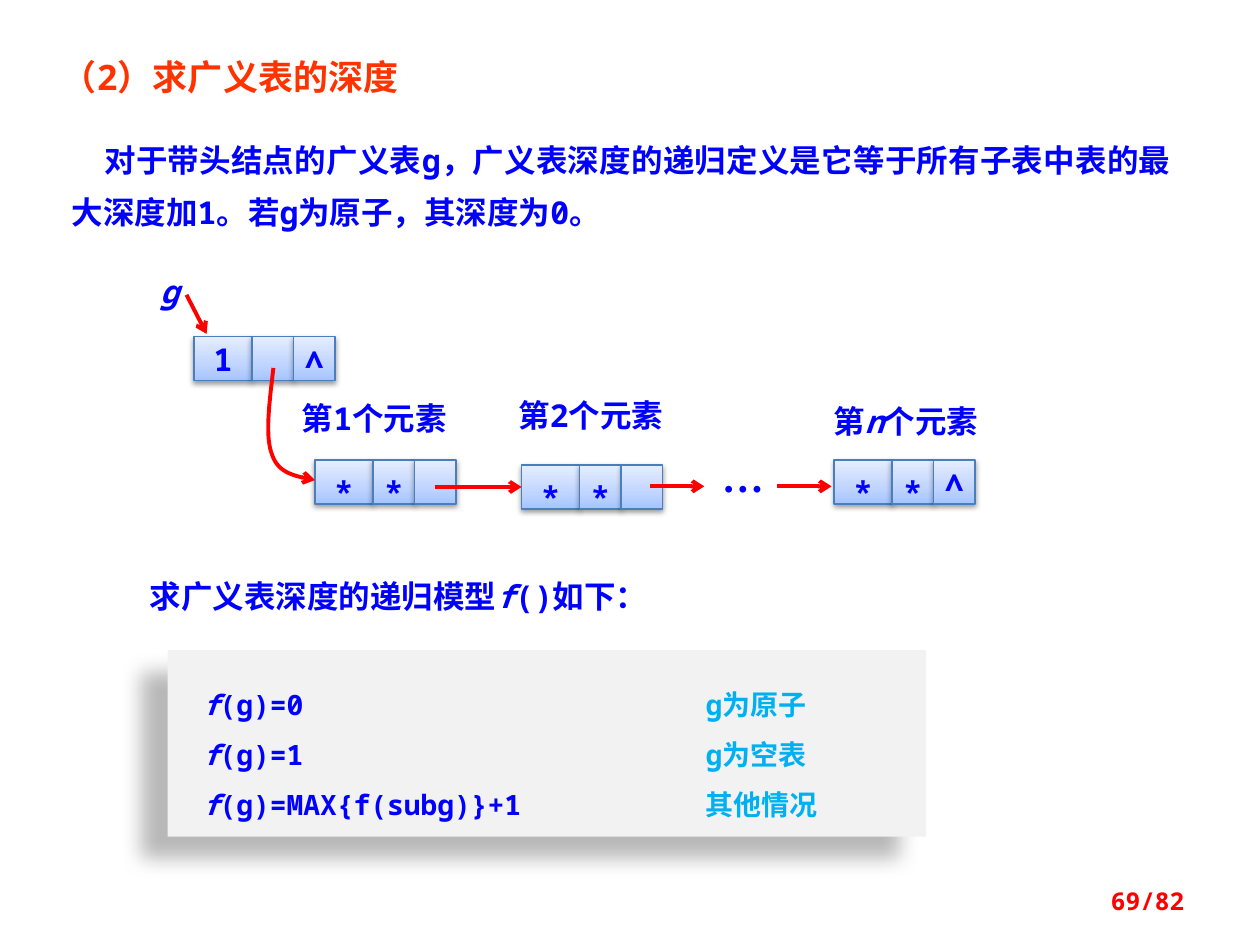
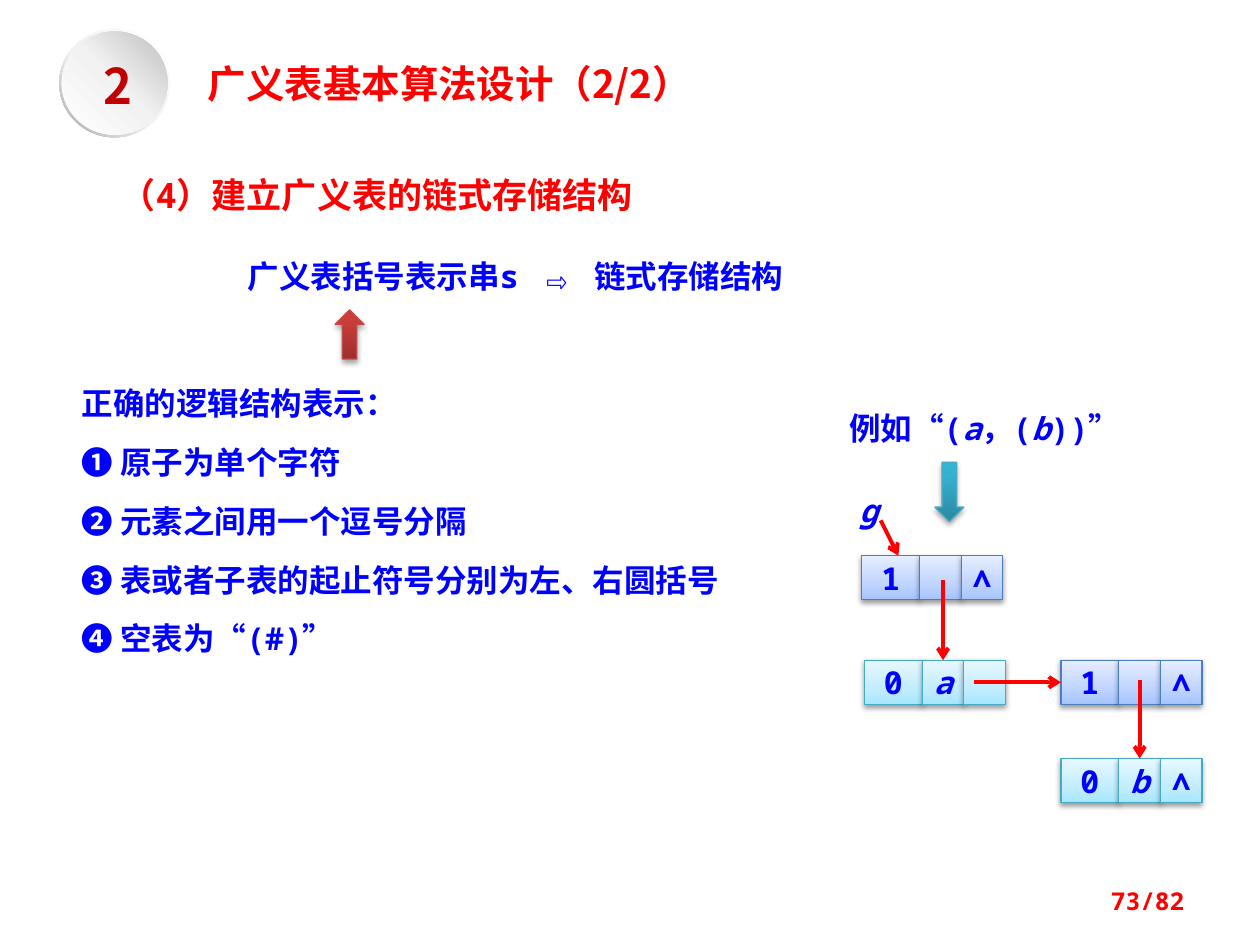
from lxml import etree
from pptx import Presentation
from pptx.dml.color import RGBColor
from pptx.enum.shapes import MSO_CONNECTOR, MSO_SHAPE
from pptx.enum.text import MSO_ANCHOR, MSO_AUTO_SIZE, PP_ALIGN
from pptx.oxml.ns import qn
from pptx.util import Pt

PX = 9144
TITLE_ONLY = 5
TOP, LEFT_SIDE = 0, 1
STRAIGHT = MSO_CONNECTOR.STRAIGHT
RECT, OVAL, DONUT = MSO_SHAPE.RECTANGLE, MSO_SHAPE.OVAL, MSO_SHAPE.DONUT
UP_ARROW, DOWN_ARROW = MSO_SHAPE.UP_ARROW, MSO_SHAPE.DOWN_ARROW
ANCHOR_TOP, ANCHOR_MIDDLE = MSO_ANCHOR.TOP, MSO_ANCHOR.MIDDLE
NO_AUTOFIT = MSO_AUTO_SIZE.NONE
ALIGN_LEFT, ALIGN_CENTER = PP_ALIGN.LEFT, PP_ALIGN.CENTER
ALIGN_RIGHT, ALIGN_JUSTIFY = PP_ALIGN.RIGHT, PP_ALIGN.JUSTIFY

MONO, SANS, SERIF = "Noto Sans Mono", "Noto Sans CJK SC", "Times New Roman"
BLUE = RGBColor(0x00, 0x00, 0xFF)
SKY = RGBColor(0x00, 0xB0, 0xF0)
RED = RGBColor(0xFF, 0x00, 0x00)
ORANGE = RGBColor(0xFF, 0x33, 0x00)
DARK_RED = RGBColor(0xC0, 0x00, 0x02)
PANEL = RGBColor(0xF2, 0xF2, 0xF2)
LIST_EDGE = RGBColor(0x4B, 0x7E, 0xBC)
ATOM_EDGE = RGBColor(0x46, 0xAA, 0xC5)
RED_EDGE = RGBColor(0xBF, 0x4C, 0x48)

LIST_STOPS = [(0, "A4C4FF"), (35, "BFD4FF"), (100, "E6EEFF")]
ATOM_STOPS = [(0, "A7E6FF"), (35, "C1EDFF"), (100, "E7F8FF")]
RED_STOPS = [(0, "9C2F2D"), (80, "CB3E3A"), (100, "CE3B37")]
TEAL_STOPS = [(0, "2A88A2"), (80, "37B1D2"), (100, "34B4D6")]
RING_STOPS = [(0, "FFFFFF"), (55, "F2F2F2"), (100, "A6A6A6")]
DISC_STOPS = [(0, "FFFFFF"), (51, "F2F2F2"), (100, "BFBFBF")]
CELL_SHADOW = (38, 3.1, 1.6, 90)
ARROW_SHADOW = (35, 3.1, 1.8, 90)
PANEL_SHADOW = (28, 11.8, 19.7, 141)
CELL_WIDTHS, CELL_HEIGHT = (46, 33, 33), 35


def child(parent, tag, **attributes):
    element = etree.SubElement(parent, qn(tag))
    for name, value in attributes.items():
        element.set(name, str(value))
    return element


def bezier(start, first, second, end, steps=16):
    for step in range(1, steps + 1):
        t = step / steps
        weights = ((1 - t) ** 3, 3 * t * (1 - t) ** 2, 3 * t * t * (1 - t), t ** 3)
        yield tuple(sum(w * point[axis] for w, point in zip(weights, (start, first, second, end)))
                    for axis in (0, 1))


class SlideBuilder:
    def __init__(self):
        self.deck = Presentation()
        self.deck.slide_width, self.deck.slide_height = 1000 * PX, 750 * PX
        self.page = None

    def new_page(self, number):
        self.page = self.deck.slides.add_slide(self.deck.slide_layouts[TITLE_ONLY])
        self.text(717, 695, 233, 40, number, 14, RED, align=ALIGN_RIGHT, anchor=ANCHOR_MIDDLE)

    def style(self, span, size, colour, font=MONO, italic=False):
        span.font.size, span.font.bold, span.font.italic = Pt(size), True, italic
        span.font.color.rgb = colour
        span.font.name = font
        child(span.font._element, "a:ea", typeface=SANS)

    def add_spans(self, para, text, size=18, colour=BLUE, font=MONO):
        for index, piece in enumerate(text.split("_")):
            if piece:
                span = para.add_run()
                span.text = piece
                self.style(span, size, colour, font, italic=index % 2 == 1)

    def title(self, left, top, width, height, text, size, colour, font=MONO):
        box = self.page.shapes.title
        box.left, box.top, box.width, box.height = (n * PX for n in (left, top, width, height))
        frame = box.text_frame
        frame.text = text
        frame.vertical_anchor, frame.auto_size = ANCHOR_TOP, NO_AUTOFIT
        frame.paragraphs[0].alignment = ALIGN_LEFT
        self.style(frame.paragraphs[0].runs[0], size, colour, font)

    def text(self, left, top, width, height, text, size=18, colour=BLUE, font=MONO,
             align=ALIGN_LEFT, anchor=ANCHOR_TOP, gap=0):
        box = self.page.shapes.add_textbox(left * PX, top * PX, width * PX, height * PX)
        frame = box.text_frame
        frame.word_wrap, frame.vertical_anchor = True, anchor
        for index, line in enumerate(text.split("\n")):
            para = frame.add_paragraph() if index else frame.paragraphs[0]
            para.alignment = align
            if index:
                para.space_before = Pt(gap)
            self.add_spans(para, line, size, colour, font)
        return box

    def shape(self, kind, left, top, width, height, fill, angle=270, edge=None, shadow=None):
        shape = self.page.shapes.add_shape(kind, left * PX, top * PX, width * PX, height * PX)
        if isinstance(fill, RGBColor):
            shape.fill.solid()
            shape.fill.fore_color.rgb = fill
        else:
            shape.fill.gradient()
            shape.fill.gradient_angle = 360 - angle
            stops = shape._element.spPr.find(qn("a:gradFill")).find(qn("a:gsLst"))
            for stop in list(stops):
                stops.remove(stop)
            for position, colour in fill:
                child(child(stops, "a:gs", pos=position * 1000), "a:srgbClr", val=colour)
        if edge is None:
            shape.line.fill.background()
        else:
            shape.line.color.rgb = edge
            shape.line.width = Pt(0.75)
        shape.shadow.inherit = False
        if shadow:
            alpha, blur, distance, direction = shadow
            effects = shape._element.spPr.find(qn("a:effectLst"))
            outer = child(effects, "a:outerShdw", blurRad=Pt(blur), dist=Pt(distance),
                          dir=direction * 60000, rotWithShape=0)
            child(child(outer, "a:srgbClr", val="000000"), "a:alpha", val=alpha * 1000)
        return shape

    def node(self, left, top, marks, atom=False):
        cells = []
        stops, edge = (ATOM_STOPS, ATOM_EDGE) if atom else (LIST_STOPS, LIST_EDGE)
        for width, mark in zip(CELL_WIDTHS, marks):
            cell = self.shape(RECT, left, top, width, CELL_HEIGHT, stops,
                              edge=edge, shadow=CELL_SHADOW)
            frame = cell.text_frame
            frame.margin_left = frame.margin_right = 0
            frame.vertical_anchor = ANCHOR_MIDDLE
            para = frame.paragraphs[0]
            para.alignment = ALIGN_CENTER
            if mark == "*":
                para.line_spacing = 1.5
            self.add_spans(para, mark)
            cells.append(cell)
            left += width
        return cells

    def red_line(self, shape):
        shape.line.color.rgb = RED
        shape.line.width = Pt(2.25)
        properties = shape._element.spPr
        child(properties.find(qn("a:ln")), "a:tailEnd", type="arrow")
        if properties.find(qn("a:effectLst")) is None:
            child(properties, "a:effectLst")

    def arrow(self, start_x, start_y, end_x, end_y):
        self.red_line(self.page.shapes.add_connector(
            STRAIGHT, start_x * PX, start_y * PX, end_x * PX, end_y * PX))

    def arrow_into(self, target, side, length):
        if side == TOP:
            x, y = target.left + target.width // 2, target.top
            start = x, y - length * PX
        else:
            x, y = target.left, target.top + target.height // 2
            start = x - length * PX, y
        connector = self.page.shapes.add_connector(STRAIGHT, *start, x, y)
        connector.end_connect(target, side)
        self.red_line(connector)

    def curve(self, start, *segments):
        points, current = [], start
        for segment in segments:
            points += bezier(current, *segment)
            current = segment[-1]
        builder = self.page.shapes.build_freeform(start[0] * PX, start[1] * PX)
        builder.add_line_segments([(x * PX, y * PX) for x, y in points], close=False)
        shape = builder.convert_to_shape()
        shape.fill.background()
        shape.shadow.inherit = False
        self.red_line(shape)

    def formulas(self, left, top, width, height, rows):
        panel = self.shape(RECT, left, top, width, height, PANEL, shadow=PANEL_SHADOW)
        frame = panel.text_frame
        frame.vertical_anchor = ANCHOR_TOP
        frame.margin_left, frame.margin_top, frame.margin_bottom = 28 * PX, 16 * PX, 16 * PX
        for index, (formula, case) in enumerate(rows):
            para = frame.add_paragraph() if index else frame.paragraphs[0]
            para.alignment, para.line_spacing = ALIGN_LEFT, 1.5
            tabs = child(para._p.get_or_add_pPr(), "a:tabLst")
            child(tabs, "a:tab", pos=399 * PX, algn="l")
            self.add_spans(para, formula + "\t", 16)
            self.add_spans(para, case, 16, SKY)


def depth_page(builder):
    builder.new_page("69/82")
    builder.title(39, 39, 336, 44, "（2）求广义表的深度", 20, ORANGE)
    definition = builder.text(
        47, 95, 892, 90,
        "对于带头结点的广义表g，广义表深度的递归定义是它等于所有子表中表的最大深度加1。若g为原子，其深度为0。",
        align=ALIGN_JUSTIFY)
    para = definition.text_frame.paragraphs[0]
    para.line_spacing = Pt(30)
    para._p.get_or_add_pPr().set("indent", str(26 * PX))

    builder.text(117, 211, 47, 40, "_g_")
    builder.arrow(148, 234, 164, 265)
    for left, top, label in ((219, 312, "第1个元素"), (391, 309, "第2个元素"),
                             (641, 314, "第_n_个元素")):
        builder.text(left, top, 156, 40, label, align=ALIGN_CENTER)
    builder.node(154, 267, ("1", "", "∧"))
    builder.node(250, 365, ("*", "*", ""))
    second = builder.node(414, 369, ("*", "*", ""))
    builder.node(662, 365, ("*", "*", "∧"))
    builder.text(563, 353, 39, 50, "…", 24, font=SERIF)
    builder.curve((217, 292), ((214, 319), (210, 346), (216, 361)),
                  ((221, 376), (235, 378), (250, 381)))
    builder.arrow_into(second[0], LEFT_SIDE, 69)
    builder.arrow(516, 386, 559, 386)
    builder.arrow(617, 386, 660, 386)

    builder.text(109, 453, 617, 40, "求广义表深度的递归模型_f_()如下：")
    builder.formulas(133, 516, 602, 148, (
        ("_f_(g)=0", "g为原子"),
        ("_f_(g)=1", "g为空表"),
        ("_f_(g)=MAX{f(subg)}+1", "其他情况"),
    ))


def build_list_page(builder):
    builder.new_page("73/82")
    builder.title(155, 43, 431, 47, "广义表基本算法设计（2/2）", 22, RED, SANS)
    ring = builder.shape(DONUT, 47, 23, 88, 86, RING_STOPS, angle=135)
    ring.adjustments[0] = 0.05
    builder.shape(OVAL, 49, 25, 84, 82, DISC_STOPS, angle=315)
    badge = builder.text(71, 44, 46, 47, "2", 28, DARK_RED, SANS, ALIGN_CENTER).text_frame
    badge.margin_left = badge.margin_right = badge.margin_top = badge.margin_bottom = 0

    builder.text(86, 133, 469, 44, "（4）建立广义表的链式存储结构", 20, RED)
    builder.text(187, 199, 500, 40, "广义表括号表示串s ⇨ 链式存储结构")
    builder.shape(UP_ARROW, 266, 246, 23, 39, RED_STOPS, edge=RED_EDGE, shadow=ARROW_SHADOW)
    builder.text(55, 300, 547, 229,
                 "正确的逻辑结构表示：\n"
                 "❶ 原子为单个字符\n"
                 "❷ 元素之间用一个逗号分隔\n"
                 "❸ 表或者子表的起止符号分别为左、右圆括号\n"
                 "❹ 空表为“(#)”", gap=12)

    builder.text(664, 320, 297, 40, "例如“(_a_，(_b_))”")
    builder.shape(DOWN_ARROW, 742, 367, 23, 47, TEAL_STOPS, edge=ATOM_EDGE, shadow=ARROW_SHADOW)
    builder.text(672, 385, 39, 36, "_g_")
    builder.node(684, 441, ("1", "", "∧"))
    atom_a = builder.node(686, 524, ("0", "_a_", ""), atom=True)
    sublist = builder.node(842, 524, ("1", "", "∧"))
    atom_b = builder.node(842, 602, ("0", "_b_", "∧"), atom=True)
    builder.arrow(699, 413, 713, 441)
    builder.arrow_into(atom_a[1], TOP, 64)
    builder.arrow_into(sublist[0], LEFT_SIDE, 69)
    builder.arrow_into(atom_b[1], TOP, 62)


def main():
    builder = SlideBuilder()
    depth_page(builder)
    build_list_page(builder)
    builder.deck.save("out.pptx")


if __name__ == "__main__":
    main()
